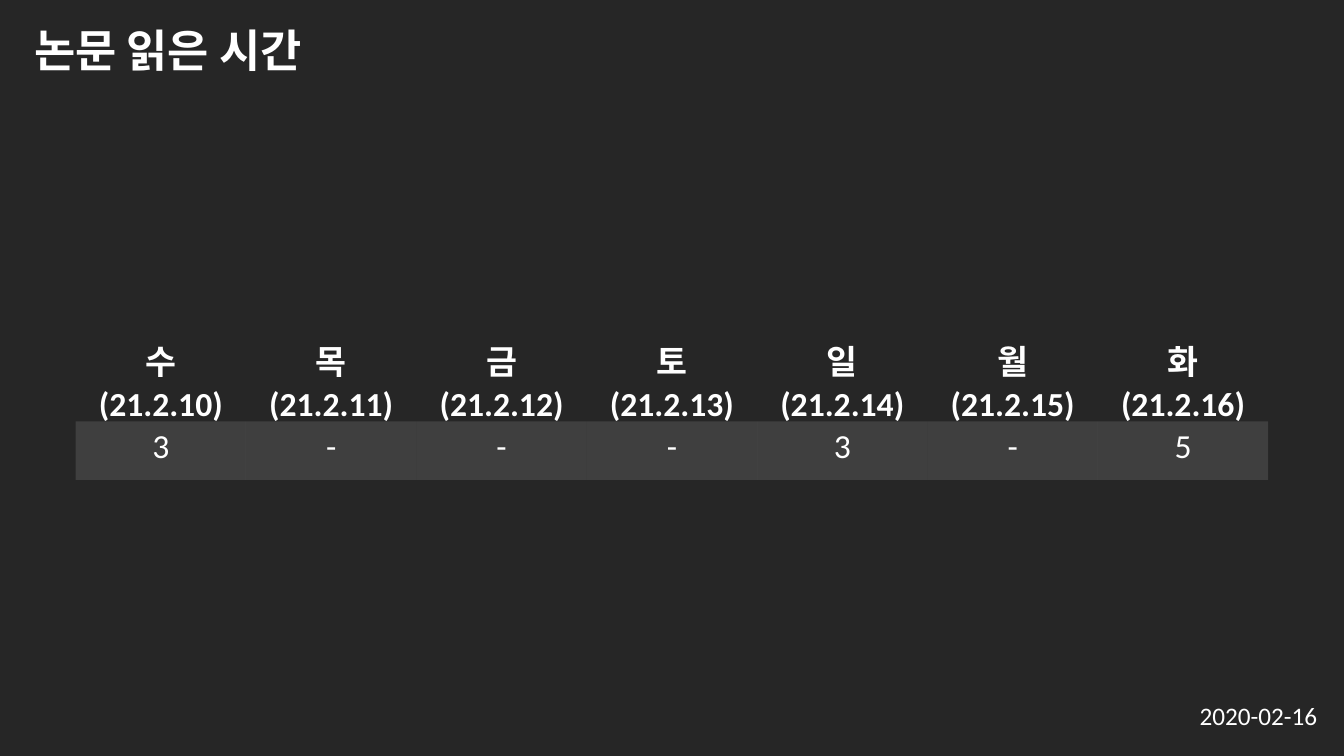
from dataclasses import dataclass

from lxml.etree import SubElement
from pptx import Presentation
from pptx.dml.color import RGBColor
from pptx.enum.text import MSO_AUTO_SIZE as AutoSize, PP_ALIGN as Align
from pptx.oxml.ns import qn
from pptx.util import Inches, Pt

# Content
TITLE = "논문 읽은 시간"
DATE = "2020-02-16"
READING_HOURS = [
    ("수(21.2.10)", "3"),
    ("목(21.2.11)", "-"),
    ("금(21.2.12)", "-"),
    ("토(21.2.13)", "-"),
    ("일(21.2.14)", "3"),
    ("월(21.2.15)", "-"),
    ("화(21.2.16)", "5"),
]


@dataclass(frozen=True)
class Theme:
    font: str = "Calibri"
    background: str = "262626"
    text: str = "FFFFFF"
    band: str = "A5A5A5"
    band_opacity: int = 20
    title_size: int = 32
    table_size: int = 24
    date_size: int = 18


THEME = Theme()
PLAIN_TABLE_STYLE = "{2D5ABB26-0587-4C30-8999-92F81FD0307C}"

# Layout in inches
WIDTH, HEIGHT = 13.33, 7.5
TITLE_BOX = (0.24, 0.18, 12.33, 0.64)
DATE_BOX = (11.8, 6.9, 1.38, 0.4)
TABLE_TOP, COLUMN_WIDTH, ROW_HEIGHT = 3.28, 1.69, 0.58


def write_text(frame, text, *, size, bold=False, align=Align.LEFT):
    paragraph = frame.paragraphs[0]
    paragraph.alignment = align
    run = paragraph.add_run()
    run.text = text
    run.font.name = THEME.font
    run.font.size = Pt(size)
    run.font.bold = bold
    run.font.color.rgb = RGBColor.from_string(THEME.text)


def add_text_box(slide, box, text, *, wrap, **text_format):
    frame = slide.shapes.add_textbox(*map(Inches, box)).text_frame
    frame.word_wrap = wrap
    frame.auto_size = AutoSize.SHAPE_TO_FIT_TEXT
    write_text(frame, text, **text_format)


def fill_band(cell):
    cell.fill.solid()
    cell.fill.fore_color.rgb = RGBColor.from_string(THEME.band)
    color = next(cell.fill._xPr.iter(qn("a:srgbClr")))
    SubElement(color, qn("a:alpha"), val=str(THEME.band_opacity * 1000))


def add_hours_table(slide):
    rows = list(zip(*READING_HOURS))
    column_count = len(READING_HOURS)
    table_width = column_count * COLUMN_WIDTH
    box = ((WIDTH - table_width) / 2, TABLE_TOP,
           table_width, len(rows) * ROW_HEIGHT)
    graphic = slide.shapes.add_table(len(rows), column_count, *map(Inches, box))
    next(graphic.element.iter(qn("a:tableStyleId"))).text = PLAIN_TABLE_STYLE
    table = graphic.table
    table.horz_banding = False
    for column in table.columns:
        column.width = Inches(COLUMN_WIDTH)
    for row_index, row in enumerate(rows):
        is_header = row_index == 0
        table.rows[row_index].height = Inches(ROW_HEIGHT)
        for column_index, text in enumerate(row):
            cell = table.cell(row_index, column_index)
            write_text(cell.text_frame, text, size=THEME.table_size,
                       bold=is_header, align=Align.CENTER)
            if is_header:
                cell.fill.background()
            else:
                fill_band(cell)


def main():
    presentation = Presentation()
    presentation.slide_width = Inches(WIDTH)
    presentation.slide_height = Inches(HEIGHT)
    slide = presentation.slides.add_slide(presentation.slide_layouts[6])
    slide.background.fill.solid()
    slide.background.fill.fore_color.rgb = RGBColor.from_string(THEME.background)

    # Date, title and table
    add_text_box(slide, DATE_BOX, DATE, wrap=False, size=THEME.date_size)
    add_text_box(slide, TITLE_BOX, TITLE, wrap=True,
                 size=THEME.title_size, bold=True)
    add_hours_table(slide)
    presentation.save("out.pptx")


if __name__ == "__main__":
    main()
